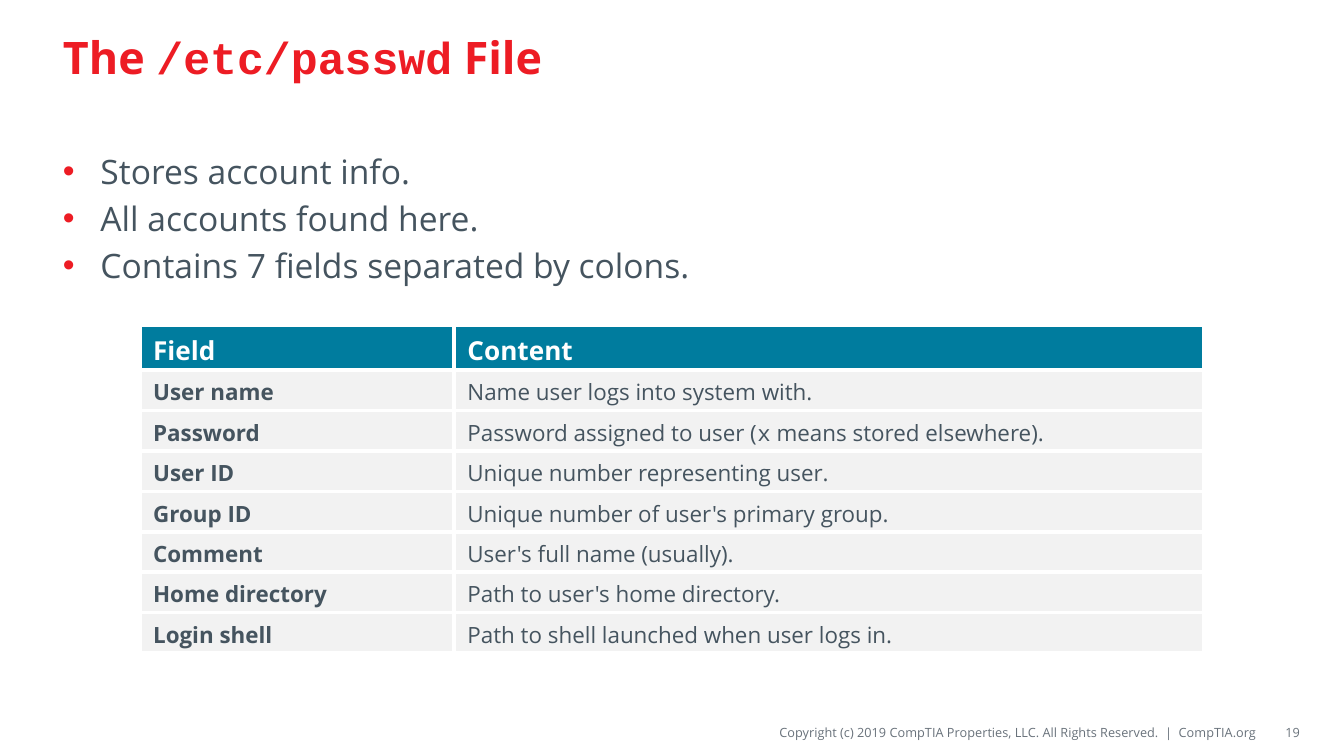
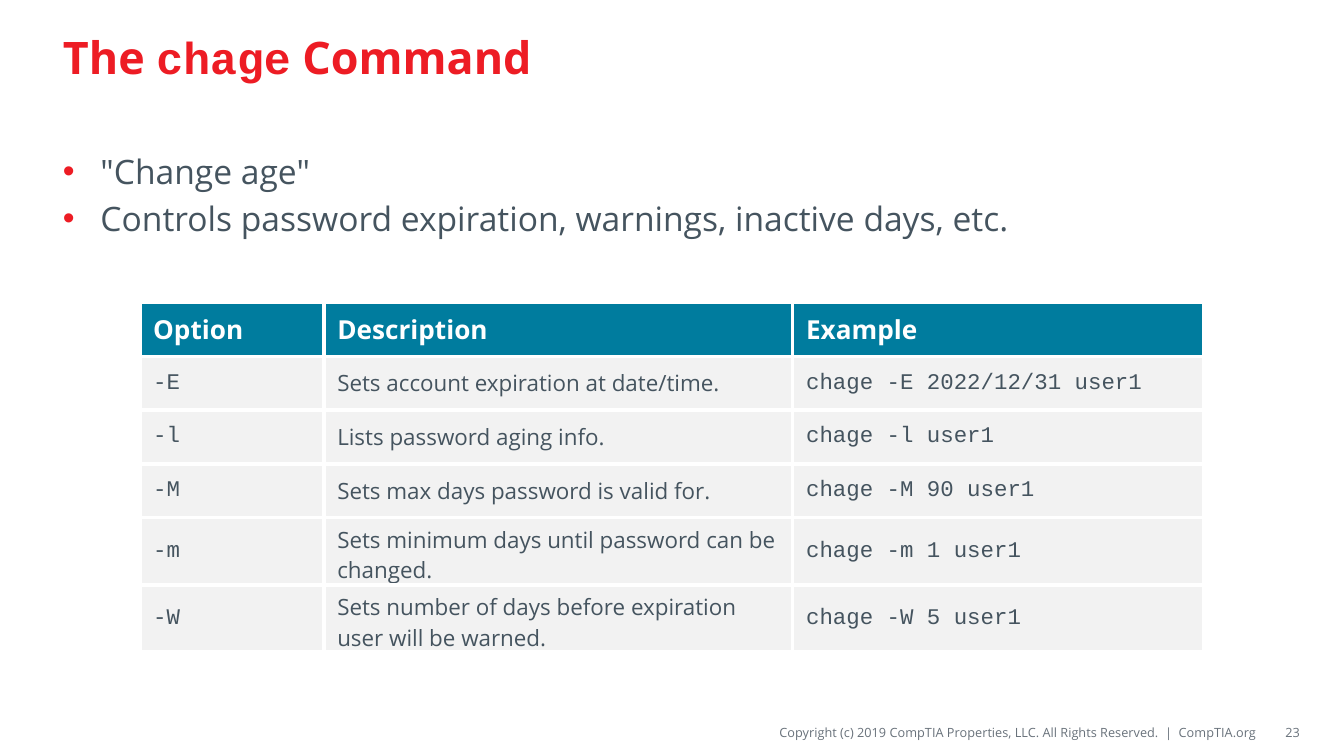
from collections import namedtuple

from lxml import etree
from pptx import Presentation
from pptx.dml.color import RGBColor
from pptx.enum.text import MSO_ANCHOR, PP_ALIGN
from pptx.oxml.ns import qn
from pptx.util import Cm, Pt

RED = RGBColor(0xED, 0x1C, 0x24)
SLATE = RGBColor(0x45, 0x54, 0x5F)
GRAY = RGBColor(0x69, 0x72, 0x7B)
TEAL = RGBColor(0x00, 0x7C, 0x9E)
PALE = RGBColor(0xF2, 0xF2, 0xF2)
WHITE = RGBColor(0xFF, 0xFF, 0xFF)

TOP, MIDDLE = MSO_ANCHOR.TOP, MSO_ANCHOR.MIDDLE
LEFT, RIGHT = PP_ALIGN.LEFT, PP_ALIGN.RIGHT

BODY_FONT = "Open Sans"
CODE_FONT = "Courier New"
TITLE_FORMAT = {"size": Pt(24), "bold": True, "color": RED}
BULLET_FORMAT = {"size": Pt(18), "bold": False, "color": SLATE}
FOOTER_FORMAT = {"size": Pt(6.8), "bold": False, "color": GRAY}
HEADER_FORMAT = {"size": Pt(14), "bold": True, "color": WHITE}
CELL_FORMAT = {"size": Pt(12), "bold": False, "color": SLATE}
LABEL_FORMAT = {**CELL_FORMAT, "bold": True}

Box = namedtuple("Box", "left top width height")
PAGE_BOX = Box(0, 0, 25.4, 14.29)
TITLE_BOX = Box(0.94, 0.2, 23.5, 1.75)
BODY_BOX = Box(0.94, 2.72, 23.5, 9.9)
FOOTER_BOX = Box(9.86, 13.56, 14.71, 0.56)
NUMBER_WIDTH = 0.74
NUMBER_GAP = 0.08
COPYRIGHT = ("Copyright (c) 2019 CompTIA Properties, LLC. All Rights Reserved."
             "  |  CompTIA.org")

SLIDES = [
    {
        "title": "The `/etc/passwd` File",
        "number": "19",
        "bullets": ["Stores account info.", "All accounts found here.",
                    "Contains 7 fields separated by colons."],
        "table_box": Box(2.64, 6.15, 20.11, 6.08),
        "columns": [5.94, 14.17],
        "formats": [LABEL_FORMAT, CELL_FORMAT],
        "rows": [
            ("Field", "Content"),
            ("User name", "Name user logs into system with."),
            ("Password", "Password assigned to user (`x` means stored elsewhere)."),
            ("User ID", "Unique number representing user."),
            ("Group ID", "Unique number of user's primary group."),
            ("Comment", "User's full name (usually)."),
            ("Home directory", "Path to user's home directory."),
            ("Login shell", "Path to shell launched when user logs in."),
        ],
    },
    {
        "title": "The `chage` Command",
        "number": "23",
        "bullets": ['"Change age"',
                    "Controls password expiration, warnings, inactive days, etc."],
        "table_box": Box(2.64, 5.72, 20.11, 6.1),
        "columns": [3.48, 8.86, 7.77],
        "formats": [CELL_FORMAT] * 3,
        "rows": [
            ("Option", "Description", "Example"),
            ("`-E`", "Sets account expiration at date/time.",
             "`chage -E 2022/12/31 user1`"),
            ("`-l`", "Lists password aging info.", "`chage -l user1`"),
            ("`-M`", "Sets max days password is valid for.", "`chage -M 90 user1`"),
            ("`-m`", "Sets minimum days until password can be changed.",
             "`chage -m 1 user1`"),
            ("`-W`", "Sets number of days before expiration user will be warned.",
             "`chage -W 5 user1`"),
        ],
    },
]


def write_spans(para, text, style):
    """Write text into a paragraph, with backticked parts in the code font."""
    for index, part in enumerate(text.split("`")):
        if part:
            span = para.add_run()
            span.text = part
            span.font.name = CODE_FONT if index % 2 else BODY_FONT
            for name, value in style.items():
                if name == "color":
                    span.font.color.rgb = value
                else:
                    setattr(span.font, name, value)


def add_text_frame(page, box, anchor, **margins):
    """Add a wrapping text box and return its frame."""
    frame = page.shapes.add_textbox(*map(Cm, box)).text_frame
    frame.word_wrap = True
    settings = {"vertical_anchor": anchor, **margins}
    for name, value in settings.items():
        setattr(frame, name, value)
    return frame


def add_title(page, box, text):
    """Add the red slide title."""
    frame = add_text_frame(page, box, MIDDLE)
    write_spans(frame.paragraphs[0], text, TITLE_FORMAT)


def add_bullet(para, spaced):
    """Give a paragraph a hanging red bullet, and space before if asked."""
    properties = para._p.get_or_add_pPr()
    properties.set("marL", str(Cm(0.71)))
    properties.set("indent", str(-Cm(0.71)))
    if spaced:
        space = etree.SubElement(properties, qn("a:spcBef"))
        etree.SubElement(space, qn("a:spcPct"), val="20000")
    color = etree.SubElement(properties, qn("a:buClr"))
    etree.SubElement(color, qn("a:srgbClr"), val=str(RED))
    etree.SubElement(properties, qn("a:buFont"), typeface="Arial")
    etree.SubElement(properties, qn("a:buChar"), char="•")


def add_bullets(page, box, items):
    """Add the bulleted body text."""
    frame = add_text_frame(page, box, TOP)
    for index, item in enumerate(items):
        para = frame.add_paragraph() if index else frame.paragraphs[0]
        add_bullet(para, index > 0)
        write_spans(para, item, BULLET_FORMAT)


def add_footer(page, box, number):
    """Add the copyright line and the page number at the right of the box."""
    number_left = box.left + box.width - NUMBER_WIDTH
    copyright_box = box._replace(width=number_left - NUMBER_GAP - box.left)
    number_box = box._replace(left=number_left, width=NUMBER_WIDTH)
    for part_box, text, inset in ((copyright_box, COPYRIGHT, 0),
                                  (number_box, number, 0.25)):
        frame = add_text_frame(page, part_box, MIDDLE, margin_left=Cm(inset),
                               margin_right=0, margin_top=Cm(0.1),
                               margin_bottom=Cm(0.1))
        para = frame.paragraphs[0]
        para.alignment = RIGHT
        write_spans(para, text, FOOTER_FORMAT)


def style_cell(cell, fill):
    """Give a cell white borders and a solid fill."""
    properties = cell._tc.get_or_add_tcPr()
    for side in ("lnL", "lnR", "lnT", "lnB"):
        line = etree.SubElement(properties, qn(f"a:{side}"), w=str(Pt(2.25)))
        paint = etree.SubElement(line, qn("a:solidFill"))
        etree.SubElement(paint, qn("a:srgbClr"), val=str(WHITE))
    cell.fill.solid()
    cell.fill.fore_color.rgb = fill
    cell.vertical_anchor = MIDDLE


def add_field_table(page, box, columns, formats, rows):
    """Add a table with a teal header row and pale body rows."""
    table = page.shapes.add_table(len(rows), len(columns), *map(Cm, box)).table
    for column, width in zip(table.columns, columns):
        column.width = Cm(width)
    for row_index, texts in enumerate(rows):
        table.rows[row_index].height = Cm(box.height / len(rows))
        for column_index, text in enumerate(texts):
            cell = table.cell(row_index, column_index)
            style_cell(cell, PALE if row_index else TEAL)
            para = cell.text_frame.paragraphs[0]
            para.alignment = LEFT
            write_spans(para, text,
                        formats[column_index] if row_index else HEADER_FORMAT)


def add_table_slide(deck, content):
    """Add one slide with title, bullets, table and footer."""
    page = deck.slides.add_slide(deck.slide_layouts[6])
    page.background.fill.solid()
    page.background.fill.fore_color.rgb = WHITE
    add_footer(page, FOOTER_BOX, content["number"])
    add_title(page, TITLE_BOX, content["title"])
    add_bullets(page, BODY_BOX, content["bullets"])
    add_field_table(page, content["table_box"], content["columns"],
                    content["formats"], content["rows"])


def main():
    """Build the deck and save it."""
    deck = Presentation()
    deck.slide_width = Cm(PAGE_BOX.width)
    deck.slide_height = Cm(PAGE_BOX.height)
    for content in SLIDES:
        add_table_slide(deck, content)
    deck.save("out.pptx")


if __name__ == "__main__":
    main()
